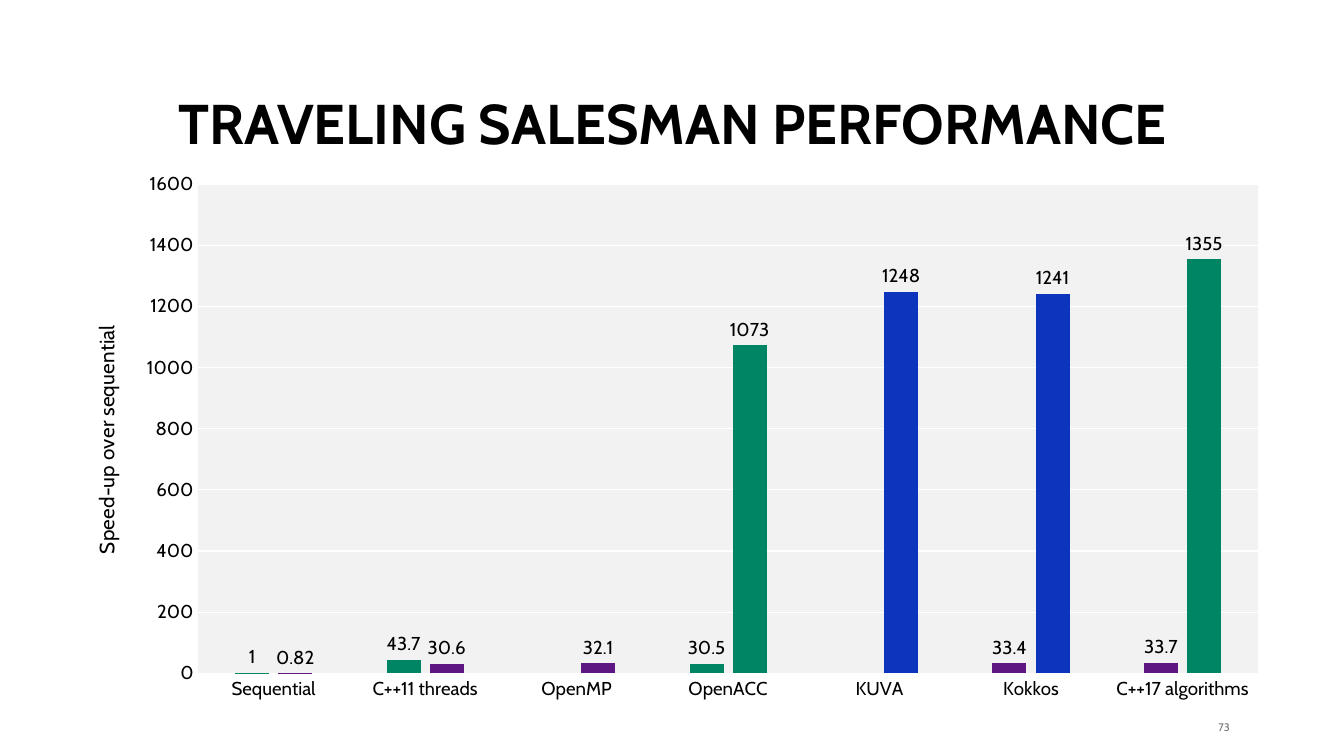
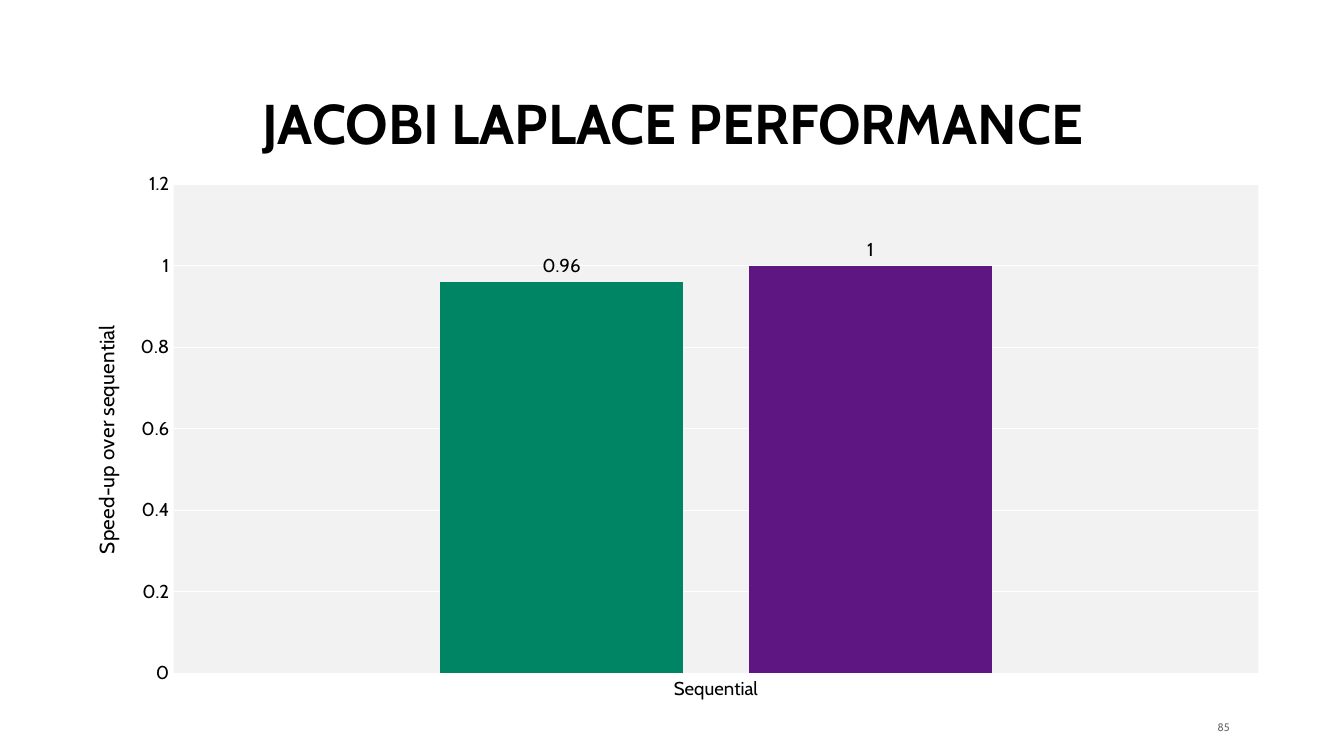
from lxml.etree import SubElement
from pptx import Presentation
from pptx.chart.data import CategoryChartData
from pptx.dml.color import RGBColor
from pptx.enum.chart import XL_CHART_TYPE, XL_LABEL_POSITION, XL_TICK_MARK
from pptx.enum.text import MSO_ANCHOR, PP_ALIGN
from pptx.oxml.ns import qn
from pptx.util import Cm, Pt

BLACK = RGBColor(0x00, 0x00, 0x00)
WHITE = RGBColor(0xFF, 0xFF, 0xFF)
GRAY = RGBColor(0x6E, 0x6E, 0x6E)
PALE = RGBColor(0xF2, 0xF2, 0xF2)
GREEN = RGBColor(0x00, 0x85, 0x64)
PURPLE = RGBColor(0x5D, 0x16, 0x82)
BLUE = RGBColor(0x0C, 0x34, 0xBD)
FONT = "Cabin"
MODELS = ["Sequential", "C++11 threads", "OpenMP", "OpenACC", "KUVA",
          "Kokkos", "C++17 algorithms"]


def style(font, size, color=BLACK, bold=False, name=FONT):
    font.name, font.size, font.bold = name, Pt(size), bold
    font.color.rgb = color


# Text
def add_box(slide, left, top, width, height, anchor, align):
    box = slide.shapes.add_textbox(Cm(left), Cm(top), Cm(width), Cm(height))
    frame = box.text_frame
    frame.word_wrap = True
    frame.vertical_anchor = anchor
    frame.paragraphs[0].alignment = align
    return frame


def add_run(para, text, size, color=BLACK, **font):
    run = para.add_run()
    run.text = text
    style(run.font, size, color, **font)


def add_title(slide, text):
    frame = add_box(slide, 1.4, 2.03, 27.71, 1.65,
                    MSO_ANCHOR.BOTTOM, PP_ALIGN.CENTER)
    para = frame.paragraphs[0]
    para.line_spacing = 0.9
    add_run(para, text, 36, bold=True)


def add_number(slide, number):
    frame = add_box(slide, 27.08, 16.28, 0.89, 0.38,
                    MSO_ANCHOR.MIDDLE, PP_ALIGN.RIGHT)
    frame.margin_left = frame.margin_right = 0
    frame.margin_top = frame.margin_bottom = 0
    add_run(frame.paragraphs[0], str(number), 7, GRAY)
    add_run(frame.paragraphs[0], " ", 9, GRAY, name="League Spartan")


# Chart
def set_place(node, **place):
    """Fix the place of a chart part, in shares of the chart."""
    layout = node.find(qn("c:layout"))
    if layout is None:
        layout = SubElement(node, qn("c:layout"))
        node.insert(0, layout)
    manual = SubElement(layout, qn("c:manualLayout"))
    if "w" in place:
        SubElement(manual, qn("c:layoutTarget")).set("val", "inner")
    modes = {"xMode": "edge", "yMode": "edge"}
    for tag, value in {**modes, **place}.items():
        SubElement(manual, qn(f"c:{tag}")).set("val", str(value))


def fill_plot(area):
    props = SubElement(area, qn("c:spPr"))
    fill = SubElement(props, qn("a:solidFill"))
    SubElement(fill, qn("a:srgbClr")).set("val", str(PALE))


def style_axes(chart, top, step):
    names, scale = chart.category_axis, chart.value_axis
    for axis in (names, scale):
        axis.major_tick_mark = axis.minor_tick_mark = XL_TICK_MARK.NONE
        style(axis.tick_labels.font, 12)
    scale.minimum_scale, scale.maximum_scale = 0, top
    scale.major_unit = step
    scale.format.line.fill.background()
    for line in (names.format.line, scale.major_gridlines.format.line):
        line.color.rgb = WHITE
        line.width = Pt(0.75)
    title = scale.axis_title
    add_run(title.text_frame.paragraphs[0], "Speed-up over sequential", 13.3)
    set_place(title._element, x=0.02, y=0.29)


def style_bars(bars, color, marks):
    bars.invert_if_negative = False
    bars.format.fill.solid()
    bars.format.fill.fore_color.rgb = color
    for index, shade in marks.items():
        fill = bars.points[index].format.fill
        fill.solid()
        fill.fore_color.rgb = shade
    labels = bars.data_labels
    labels.show_value = True
    labels.position = XL_LABEL_POSITION.OUTSIDE_END
    style(labels.font, 12)


def add_bars(slide, names, rows, top, step, left, width):
    data = CategoryChartData()
    data.categories = names
    for index, (values, _, _) in enumerate(rows, 1):
        data.add_series(f"Series {index}", values)
    chart = slide.shapes.add_chart(
        XL_CHART_TYPE.COLUMN_CLUSTERED, Cm(1.45), Cm(3.68),
        Cm(27.64), Cm(12.47), data).chart
    chart.has_title = chart.has_legend = False
    style(chart.font, 10, WHITE)
    plot = chart.plots[0]
    plot.gap_width, plot.overlap = 219, -27
    plot.vary_by_categories = False
    style_axes(chart, top, step)
    for bars, (_, color, marks) in zip(plot.series, rows):
        style_bars(bars, color, marks)
    area = chart._chartSpace.chart.plotArea
    set_place(area, x=left, y=0.04, w=width, h=0.89)
    fill_plot(area)


def add_page(deck, title, number, *chart):
    slide = deck.slides.add_slide(deck.slide_layouts[6])
    add_number(slide, number)
    add_title(slide, title)
    add_bars(slide, *chart)


def main():
    deck = Presentation()
    deck.slide_width, deck.slide_height = Cm(30.48), Cm(17.15)

    # Traveling salesman: values, colour, bars in other colours
    rows = [
        ([1, 43.7, None, 30.5, None, 33.4, 33.7], GREEN,
         {5: PURPLE, 6: PURPLE}),
        ([0.82, 30.6, 32.1, 1073, 1248, 1241, 1355], PURPLE,
         {3: GREEN, 4: BLUE, 5: BLUE, 6: GREEN}),
    ]
    add_page(deck, "TRAVELING SALESMAN PERFORMANCE", 73,
             MODELS, rows, 1600, 200, 0.11, 0.87)

    # Jacobi Laplace
    rows = [([0.96], GREEN, {}), ([1], PURPLE, {})]
    add_page(deck, "JACOBI LAPLACE PERFORMANCE", 85,
             MODELS[:1], rows, 1.2, 0.2, 0.09, 0.89)

    deck.save("out.pptx")


if __name__ == "__main__":
    main()
